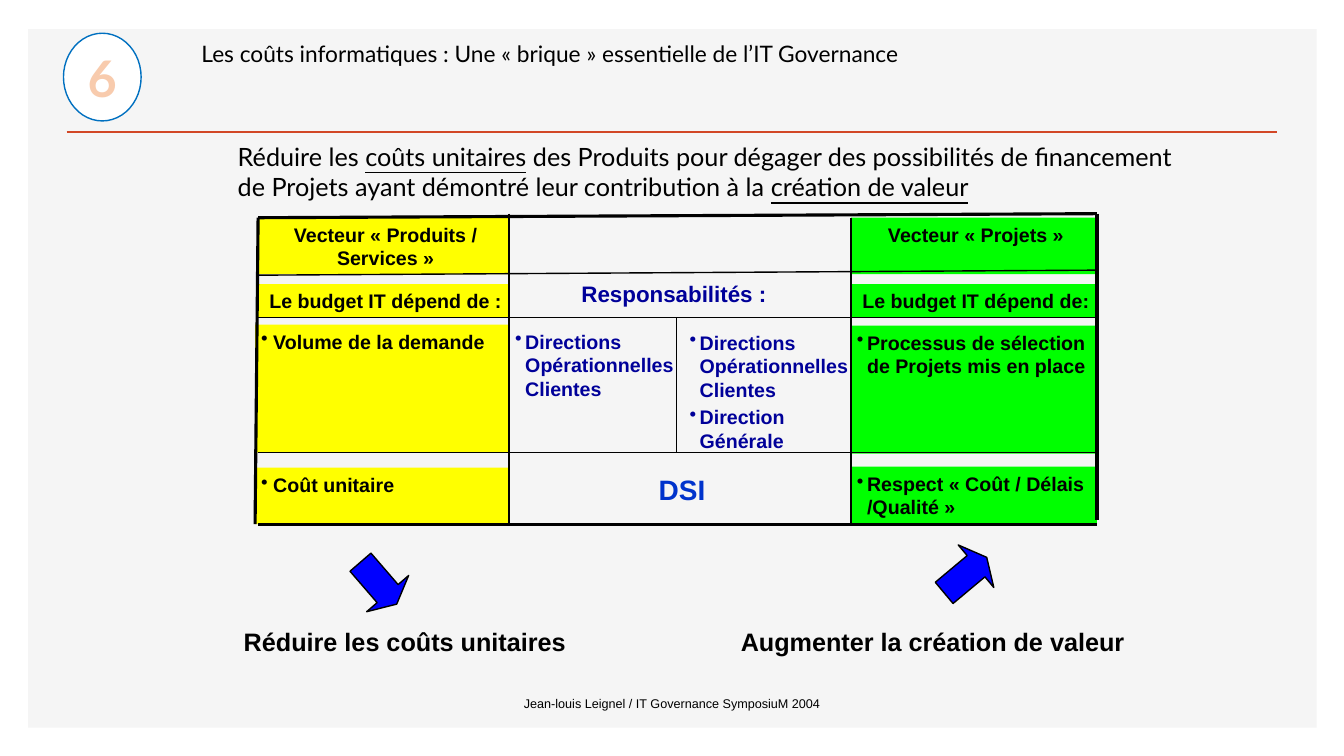
from lxml import etree
from pptx import Presentation
from pptx.dml.color import RGBColor
from pptx.enum.shapes import MSO_CONNECTOR, MSO_SHAPE
from pptx.enum.text import MSO_ANCHOR, PP_ALIGN
from pptx.oxml import parse_xml
from pptx.oxml.ns import nsdecls, qn
from pptx.util import Pt

LEFT, CENTER = PP_ALIGN.LEFT, PP_ALIGN.CENTER
TOP, MIDDLE = MSO_ANCHOR.TOP, MSO_ANCHOR.MIDDLE
RECTANGLE, OVAL, DOWN_ARROW = MSO_SHAPE.RECTANGLE, MSO_SHAPE.OVAL, MSO_SHAPE.DOWN_ARROW
STRAIGHT = MSO_CONNECTOR.STRAIGHT

PX = 9144  # 100 px to the inch
THEME = {
    "black": "000000", "white": "FFFFFF", "panel": "F5F5F5", "accent": "D24726",
    "yellow": "FFFF00", "green": "00FF00", "navy": "000099", "royal": "0033CC",
    "arrow": "0000FF", "ring": "0070C0", "number": "F8CBAD", "number_edge": "ED7D31",
    "body_font": "Arial", "title_font": "Lato",
    "footer": 9, "cell": 14, "heading": 16, "title": 16.2, "message": 18, "dsi": 20,
    "number_size": 36,
}
CELL_INSETS = (6, 5, 2, 5)


def color(name):
    return RGBColor.from_string(THEME[name])


def write(box, text, size="cell", ink="black", font="body_font", bold=True, align=LEFT,
          anchor=TOP, insets=CELL_INSETS, wrap=True, bullet_indent=0):
    """Lines become paragraphs; words between underscores are underlined."""
    frame = box.text_frame
    frame.word_wrap = wrap
    frame.vertical_anchor = anchor
    frame.margin_left, frame.margin_top, frame.margin_right, frame.margin_bottom = (
        inset * PX for inset in insets)
    for number, line in enumerate(text.split("\n")):
        para = frame.add_paragraph() if number else frame.paragraphs[0]
        para.alignment = align
        if number:
            para.space_before = Pt(3)
        if bullet_indent:
            properties = para._p.get_or_add_pPr()
            properties.set("marL", str(bullet_indent * PX))
            properties.set("indent", str(-bullet_indent * PX))
            etree.SubElement(properties, qn("a:buChar"), char="•")
        for position, part in enumerate(line.split("_")):
            if part:
                span = para.add_run()
                span.text = part
                span.font.name = THEME[font]
                span.font.size = Pt(THEME[size])
                span.font.bold = bold
                span.font.underline = position % 2 == 1
                span.font.color.rgb = color(ink)


deck = Presentation()
deck.slide_width, deck.slide_height = 1333 * PX, 750 * PX
page = deck.slides.add_slide(deck.slide_layouts[6])
shapes = page.shapes

# Background panel
panel = shapes.add_shape(RECTANGLE, 28 * PX, 29 * PX, 1278 * PX, 693 * PX)
panel.shadow.inherit = False
panel.fill.solid()
panel.fill.fore_color.rgb = color("panel")
panel.line.fill.background()

# Title, message, conclusions and footer
plain = {"bold": False, "insets": (10, 5, 10, 5)}
conclusion = {"size": "message", "align": CENTER, "wrap": False}
for left, top, width, height, text, style in [
    (190, 35, 1000, 61, "Les coûts informatiques : Une « brique » essentielle de l’IT Governance",
     {**plain, "size": "title", "font": "title_font"}),
    (226, 135, 954, 71,
     "Réduire les _coûts unitaires_ des Produits pour dégager des possibilités de financement "
     "de Projets ayant démontré leur contribution à la _création de valeur_",
     {**plain, "size": "message", "font": "title_font"}),
    (234, 616, 331, 40, "Réduire les coûts unitaires", conclusion),
    (727, 616, 392, 40, "Augmenter la création de valeur", conclusion),
    (508, 678, 317, 40, "Jean-louis Leignel / IT Governance SymposiuM 2004",
     {**plain, "size": "footer", "align": CENTER, "anchor": MIDDLE}),
]:
    box = shapes.add_textbox(left * PX, top * PX, width * PX, height * PX)
    write(box, text, **style)

# Grid cells
centered = {"align": CENTER}
listed = {"bullet_indent": 10}
listed_wide = {"bullet_indent": 12}
for left, top, width, height, fill, text, style in [
    (256, 216, 249, 56, "yellow", "Vecteur « Produits / Services »", centered),
    (844, 216, 244, 56, "green", "Vecteur « Projets »", centered),
    (256, 282, 249, 33, "yellow", "Le budget IT dépend de :", centered),
    (505, 273, 323, 33, None, "Responsabilités :",
     {"align": CENTER, "size": "heading", "ink": "navy"}),
    (844, 282, 244, 33, "green", "Le budget IT dépend de:", centered),
    (253, 322, 252, 127, "yellow", "Volume de la demande", listed_wide),
    (505, 322, 166, 127, None, "Directions Opérationnelles Clientes",
     {**listed, "ink": "navy"}),
    (678, 323, 173, 126, None, "Directions Opérationnelles Clientes\nDirection Générale",
     {**listed, "ink": "navy"}),
    (844, 323, 244, 127, "green", "Processus de sélection de Projets mis en place", listed),
    (253, 464, 252, 56, "yellow", "Coût unitaire", listed_wide),
    (513, 464, 323, 56, None, "DSI", {"align": CENTER, "size": "dsi", "ink": "royal"}),
    (844, 463, 244, 56, "green", "Respect « Coût / Délais  /Qualité »", listed),
]:
    cell = shapes.add_textbox(left * PX, top * PX, width * PX, height * PX)
    if fill:
        cell.fill.solid()
        cell.fill.fore_color.rgb = color(fill)
    write(cell, text, **style)

# Title rule, then grid rules: rows, then columns
for x1, y1, x2, y2, ink, weight in [
    (66, 131, 1267, 131, "accent", 2),
    (256, 216, 1088, 212, "black", 2.25),
    (256, 273, 1088, 268, "black", 1),
    (256, 315, 1088, 315, "black", 1),
    (256, 449, 1088, 449, "black", 1),
    (256, 520, 1088, 520, "black", 2.25),
    (256, 216, 253, 520, "black", 2.25),
    (505, 212, 505, 520, "black", 1),
    (671, 315, 671, 449, "black", 1),
    (844, 216, 844, 520, "black", 1),
    (1088, 212, 1088, 516, "black", 2.25),
]:
    rule = shapes.add_connector(STRAIGHT, x1 * PX, y1 * PX, x2 * PX, y2 * PX)
    rule.line.color.rgb = color(ink)
    rule.line.width = Pt(weight)
    etree.SubElement(rule._element.spPr, qn("a:effectLst"))

# Arrows and number badge
for kind, left, top, width, height, angle, fill, edge in [
    (DOWN_ARROW, 348, 551, 55, 55, 319.2, "arrow", "black"),
    (DOWN_ARROW, 930, 543, 55, 55, 230.1, "arrow", "black"),
    (OVAL, 63, 33, 77, 87, 0, "white", "ring"),
]:
    mark = shapes.add_shape(kind, left * PX, top * PX, width * PX, height * PX)
    mark.shadow.inherit = False
    mark.rotation = angle
    mark.fill.solid()
    mark.fill.fore_color.rgb = color(fill)
    mark.line.color.rgb = color(edge)
    mark.line.width = Pt(1)
    if kind == DOWN_ARROW:
        mark.adjustments[0], mark.adjustments[1] = 0.5, 0.25
    else:
        write(mark, "6", size="number_size", ink="number", font="title_font",
              align=CENTER, anchor=MIDDLE, insets=(10, 5, 10, 5))
        outline = parse_xml(
            f'<a:ln {nsdecls("a")} w="{Pt(1.75)}"><a:solidFill>'
            f'<a:srgbClr val="{THEME["number_edge"]}"/></a:solidFill></a:ln>')
        mark.text_frame.paragraphs[0].runs[0]._r.get_or_add_rPr().insert(0, outline)

deck.save("out.pptx")
